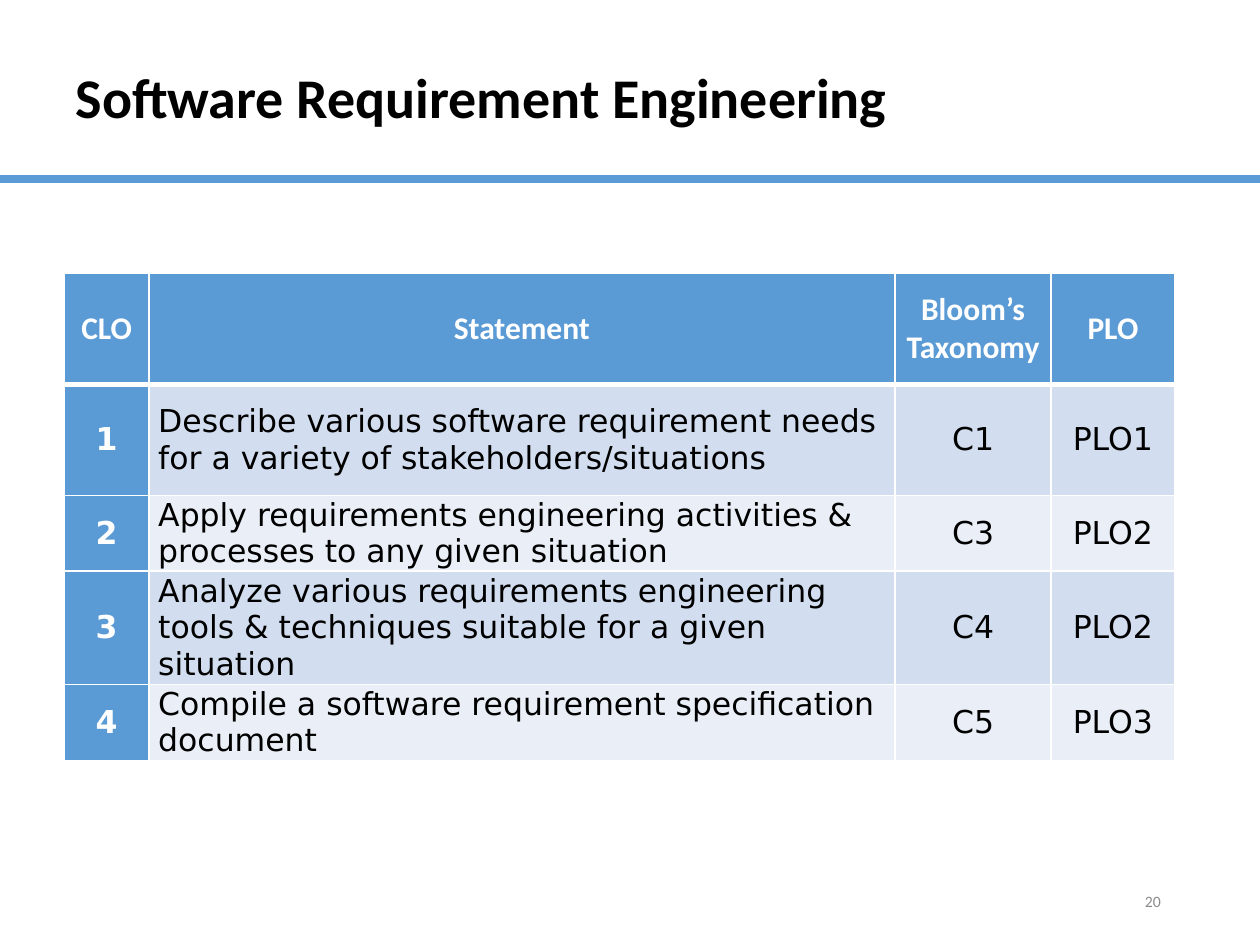
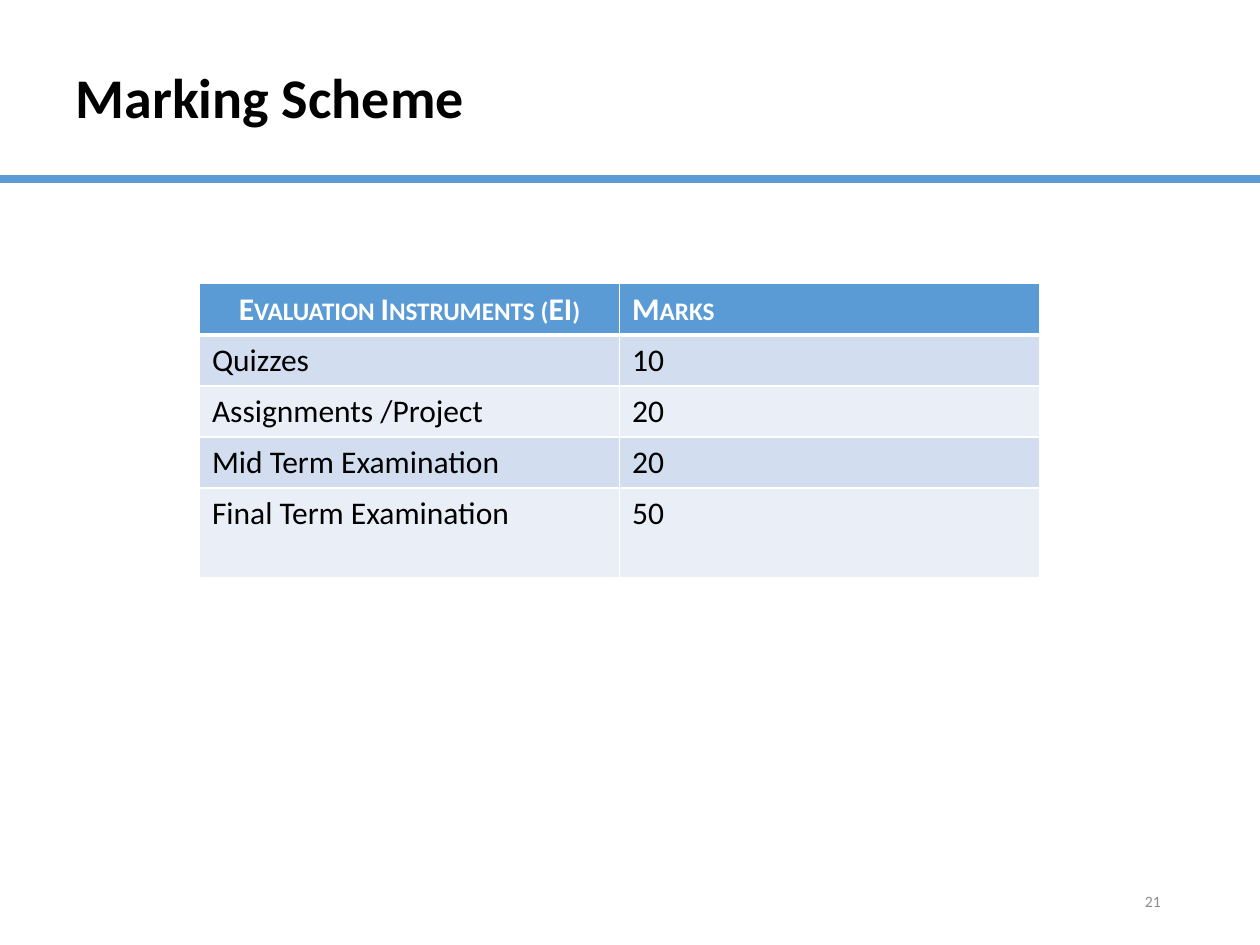
from lxml.etree import SubElement
from pptx import Presentation
from pptx.dml.color import RGBColor
from pptx.enum.shapes import MSO_CONNECTOR
from pptx.enum.text import MSO_ANCHOR, PP_ALIGN
from pptx.oxml.ns import qn
from pptx.util import Cm, Pt

BLUE, WHITE, BLACK, GREY = "5B9BD5", "FFFFFF", "000000", "8C8C8C"
BANDS = ["D2DEEF", "EAEFF7"]
RULE_TOP = Cm(3.61)

pages = [
    {
        "title": "Software Requirement Engineering",
        "number": "20",
        "place": (1.3, 5.51),
        "columns": [1.7, 15.04, 3.15, 2.49],
        "heights": [2.24, 2.24, 1.47, 2.24, 1.47],
        "rows": [
            ["CLO", "Statement", "Bloom’s Taxonomy", "PLO"],
            ["1", "Describe various software requirement needs for a variety "
                  "of stakeholders/situations", "C1", "PLO1"],
            ["2", "Apply requirements engineering activities & processes to "
                  "any given situation", "C3", "PLO2"],
            ["3", "Analyze various requirements engineering tools & techniques "
                  "suitable for a given situation", "C4", "PLO2"],
            ["4", "Compile a software requirement specification document",
             "C5", "PLO3"],
        ],
        "body_font": "DejaVu Sans",
        "header_column": True,
        "small_caps": False,
        "centred_header": [0, 1, 2, 3],
        "centred_body": [0, 2, 3],
        "cell_format": {
            "vertical_anchor": MSO_ANCHOR.MIDDLE,
            "margin_left": Cm(0.19), "margin_right": Cm(0.19),
            "margin_top": 0, "margin_bottom": 0,
        },
    },
    {
        "title": "Marking Scheme",
        "number": "21",
        "place": (4.02, 5.72),
        "columns": [8.47, 8.47],
        "heights": [1.03, 1.03, 1.03, 1.03, 1.8],
        "rows": [
            ["Evaluation Instruments (EI)", "Marks"],
            ["Quizzes", "10"],
            ["Assignments /Project", "20"],
            ["Mid Term Examination", "20"],
            ["Final Term Examination", "50"],
        ],
        "body_font": "Calibri",
        "header_column": False,
        "small_caps": True,
        "centred_header": [0],
        "centred_body": [],
        "cell_format": {"vertical_anchor": MSO_ANCHOR.TOP},
    },
]


def write(frame, text, color, align=PP_ALIGN.LEFT, **font_format):
    """Put one formatted run in a text frame and return the run."""
    para = frame.paragraphs[0]
    para.alignment = align
    span = para.add_run()
    span.text = text
    span.font.color.rgb = RGBColor.from_string(color)
    for name, value in font_format.items():
        setattr(span.font, name, value)
    return span


def add_borders(cell, bottom_width):
    properties = cell._tc.get_or_add_tcPr()
    for side, width in {"L": 1, "R": 1, "T": 1, "B": bottom_width}.items():
        line = SubElement(properties, qn(f"a:ln{side}"), w=str(Pt(width)))
        fill = SubElement(line, qn("a:solidFill"))
        SubElement(fill, qn("a:srgbClr"), val=WHITE)


deck = Presentation()
deck.slide_width, deck.slide_height = Cm(25.4), Cm(19.05)
title_only = deck.slide_layouts[5]

for page in pages:
    slide = deck.slides.add_slide(title_only)

    title = slide.shapes.title
    title.left, title.top, title.width, title.height = (
        Cm(1.27), Cm(0.43), Cm(22.86), Cm(3.18))
    title.text_frame.vertical_anchor = MSO_ANCHOR.MIDDLE
    write(title.text_frame, page["title"], BLACK,
          name="Calibri", size=Pt(32), bold=True)
    title.text_frame.paragraphs[0].line_spacing = 0.9

    rule = slide.shapes.add_connector(
        MSO_CONNECTOR.STRAIGHT, 0, RULE_TOP, deck.slide_width, RULE_TOP)
    rule.line.color.rgb = RGBColor.from_string(BLUE)
    rule.line.width = Pt(5)
    SubElement(rule._element.spPr, qn("a:effectLst"))

    number_box = slide.shapes.add_textbox(
        Cm(17.93), Cm(17.65), Cm(5.72), Cm(1.02))
    number_box.text_frame.word_wrap = True
    number_box.text_frame.vertical_anchor = MSO_ANCHOR.MIDDLE
    write(number_box.text_frame, page["number"], GREY, PP_ALIGN.RIGHT,
          name="Calibri", size=Pt(9))

    left, top = page["place"]
    table = slide.shapes.add_table(
        len(page["rows"]), len(page["columns"]), Cm(left), Cm(top),
        Cm(sum(page["columns"])), Cm(sum(page["heights"]))).table
    table.first_col = page["header_column"]
    for column, width in zip(table.columns, page["columns"]):
        column.width = Cm(width)

    for row_index, texts in enumerate(page["rows"]):
        table.rows[row_index].height = Cm(page["heights"][row_index])
        is_header = row_index == 0
        centred = page["centred_header" if is_header else "centred_body"]
        for column_index, text in enumerate(texts):
            cell = table.cell(row_index, column_index)
            strong = is_header or (page["header_column"] and column_index == 0)
            for name, value in page["cell_format"].items():
                setattr(cell, name, value)
            add_borders(cell, 3 if is_header else 1)
            cell.fill.solid()
            cell.fill.fore_color.rgb = RGBColor.from_string(
                BLUE if strong else BANDS[(row_index - 1) % 2])
            span = write(
                cell.text_frame, text, WHITE if strong else BLACK,
                PP_ALIGN.CENTER if column_index in centred else PP_ALIGN.LEFT,
                name="Calibri" if is_header else page["body_font"],
                size=Pt(18), bold=strong)
            if is_header and page["small_caps"]:
                span.font._element.set("cap", "small")

deck.save("out.pptx")
